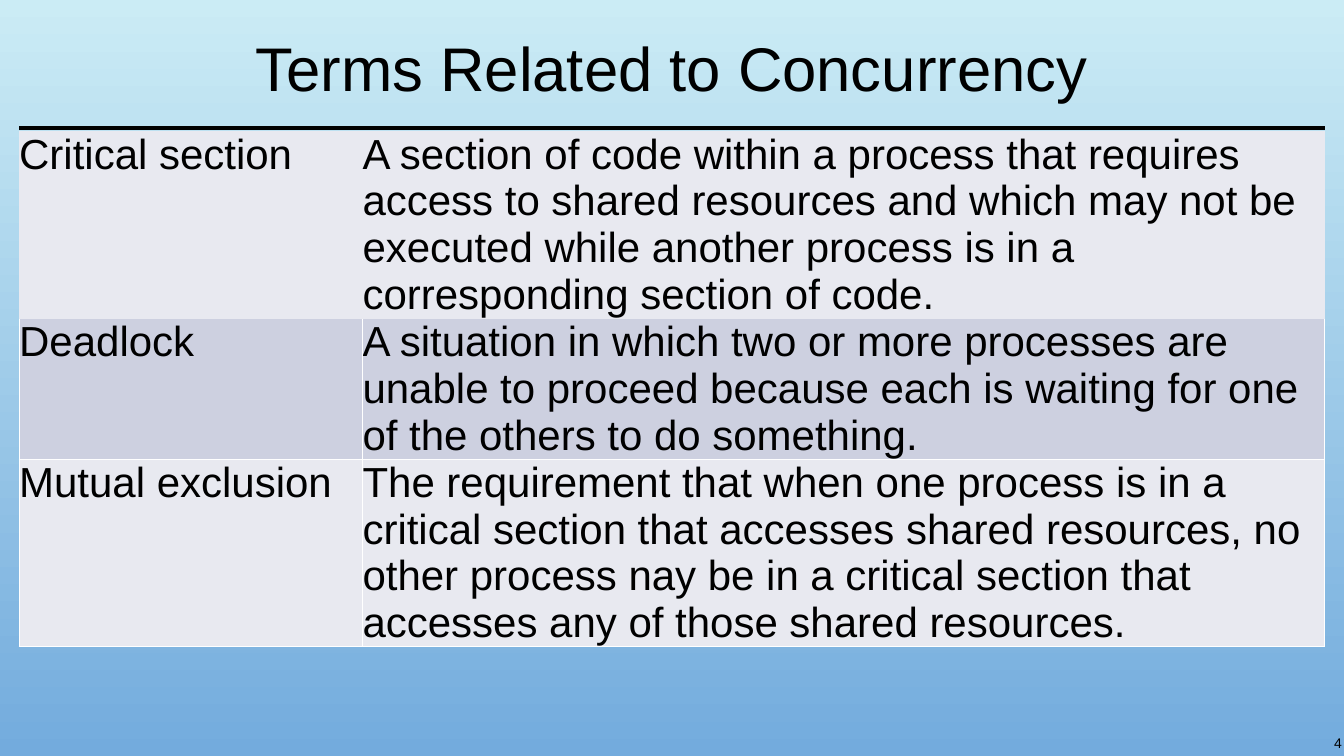
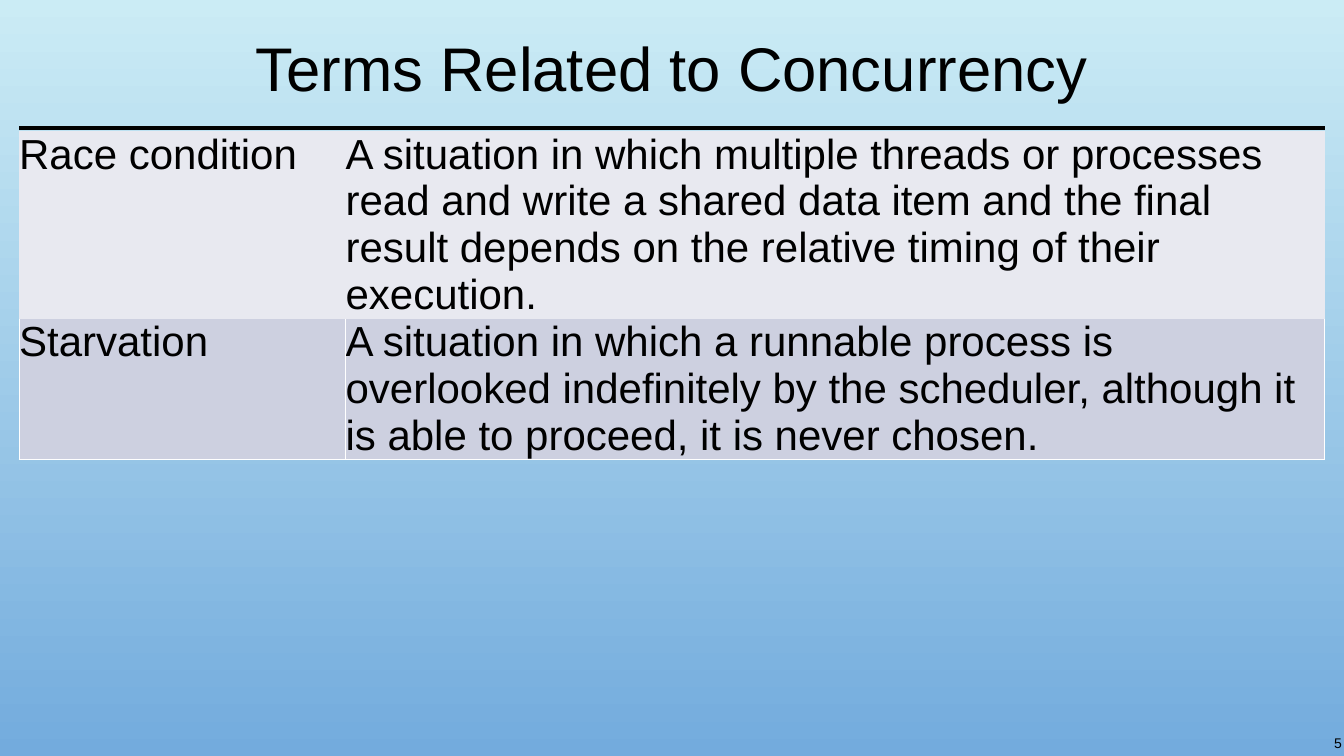
from dataclasses import dataclass

from lxml import etree
from pptx import Presentation
from pptx import util as u
from pptx.dml.color import RGBColor
from pptx.enum import shapes, text
from pptx.oxml import ns


@dataclass(frozen=True)
class Theme:
    font: str = "Arial"
    ink: str = "000000"
    sky: tuple = ("CBECF5", "73ABDD")
    bands: tuple = ("E8E9F0", "CDD0E0")
    edge: str = "FFFFFF"
    head: int = 44
    body: int = 30
    foot: int = 10


THEME = Theme()
WIDE, HIGH = 13.33, 7.5
LEFT = 0.19
SPAN = WIDE - 2 * LEFT
RULE = 1.27
PLAIN = "{2D5ABB26-0587-4C30-8999-92F81FD0307C}"  # No Style, No Grid

TITLE = "Terms Related to Concurrency"
# Each page: number, share of the term column, rows of term and meaning
PAGES = [
    (4, 0.263, [
        ("Critical section",
         "A section of code within a process that requires access to shared "
         "resources and which may not be executed while another process is "
         "in a corresponding section of code."),
        ("Deadlock",
         "A situation in which two or more processes are unable to proceed "
         "because each is waiting for one of the others to do something."),
        ("Mutual exclusion",
         "The requirement that when one process is in a critical section "
         "that accesses shared resources, no other process nay be in a "
         "critical section that accesses any of those shared resources."),
    ]),
    (5, 0.25, [
        ("Race condition",
         "A situation in which multiple threads or processes read and write "
         "a shared data item and the final result depends on the relative "
         "timing of their execution."),
        ("Starvation",
         "A situation in which a runnable process is overlooked indefinitely "
         "by the scheduler, although it is able to proceed, it is never "
         "chosen."),
    ]),
]


def rgb(code):
    return RGBColor.from_string(code)


def inches(*sizes):
    return [u.Inches(size) for size in sizes]


def inset(box, pad):
    """Give a text frame or a cell the same margin on all sides."""
    box.margin_left = box.margin_right = u.Inches(pad)
    box.margin_top = box.margin_bottom = u.Inches(pad)


def write(frame, words, size, align):
    frame.text = words
    para = frame.paragraphs[0]
    para.alignment = align
    font = para.runs[0].font
    font.name, font.size = THEME.font, u.Pt(size)
    font.color.rgb = rgb(THEME.ink)
    return para


def paint(master):
    fill = master.background.fill
    fill.gradient()
    fill.gradient_angle = 270
    for stop, code in zip(fill.gradient_stops, THEME.sky):
        stop.color.rgb = rgb(code)


def add_rule(slide):
    line = slide.shapes.add_connector(
        shapes.MSO_CONNECTOR.STRAIGHT,
        *inches(LEFT, RULE, LEFT + SPAN, RULE))
    line.line.color.rgb = rgb(THEME.ink)
    line.line.width = u.Pt(2.25)
    etree.SubElement(line._element.spPr, ns.qn("a:effectLst"))


def set_title(slide, words):
    title = slide.shapes.title
    title.left, title.top, title.width, title.height = inches(
        LEFT, 0.17, SPAN, 1.07)
    frame = title.text_frame
    frame.vertical_anchor = text.MSO_ANCHOR.MIDDLE
    inset(frame, 0.05)
    para = write(frame, words, THEME.head, text.PP_ALIGN.CENTER)
    para.line_spacing = 0.9


def add_edges(cell):
    """Draw the left, right and bottom borders of a cell."""
    props = cell._tc.get_or_add_tcPr()
    for side in "LRB":
        line = etree.SubElement(props, ns.qn(f"a:ln{side}"), w=str(u.Pt(1)))
        fill = etree.SubElement(line, ns.qn("a:solidFill"))
        etree.SubElement(fill, ns.qn("a:srgbClr"), val=THEME.edge)


def add_terms(slide, share, terms):
    """Add the table; its rows grow with their text."""
    table = slide.shapes.add_table(
        len(terms), 2, *inches(LEFT, 1.3, SPAN, 0.41 * len(terms))).table
    table.first_row = table.horz_banding = False
    table._tbl.tblPr.find(ns.qn("a:tableStyleId")).text = PLAIN
    for col, part in zip(table.columns, (share, 1 - share)):
        col.width = u.Inches(SPAN * part)
    for r, term in enumerate(terms):
        for c, words in enumerate(term):
            cell = table.cell(r, c)
            inset(cell, 0)
            if r:
                add_edges(cell)
            cell.fill.solid()
            cell.fill.fore_color.rgb = rgb(THEME.bands[r % 2])
            write(cell.text_frame, words, THEME.body, text.PP_ALIGN.LEFT)


def add_number(slide, number):
    wide, high = 0.6, 0.23
    frame = slide.shapes.add_textbox(
        *inches(WIDE - wide, HIGH - high - 0.01, wide, high)).text_frame
    frame.word_wrap = True
    frame.vertical_anchor = text.MSO_ANCHOR.MIDDLE
    inset(frame, 0.02)
    write(frame, str(number), THEME.foot, text.PP_ALIGN.RIGHT)


def main():
    deck = Presentation()
    deck.slide_width, deck.slide_height = inches(WIDE, HIGH)
    paint(deck.slide_master)
    layout = deck.slide_layouts.get_by_name("Title Only")
    for number, share, terms in PAGES:
        slide = deck.slides.add_slide(layout)
        add_rule(slide)
        set_title(slide, TITLE)
        add_terms(slide, share, terms)
        add_number(slide, number)
    deck.save("out.pptx")


if __name__ == "__main__":
    main()
